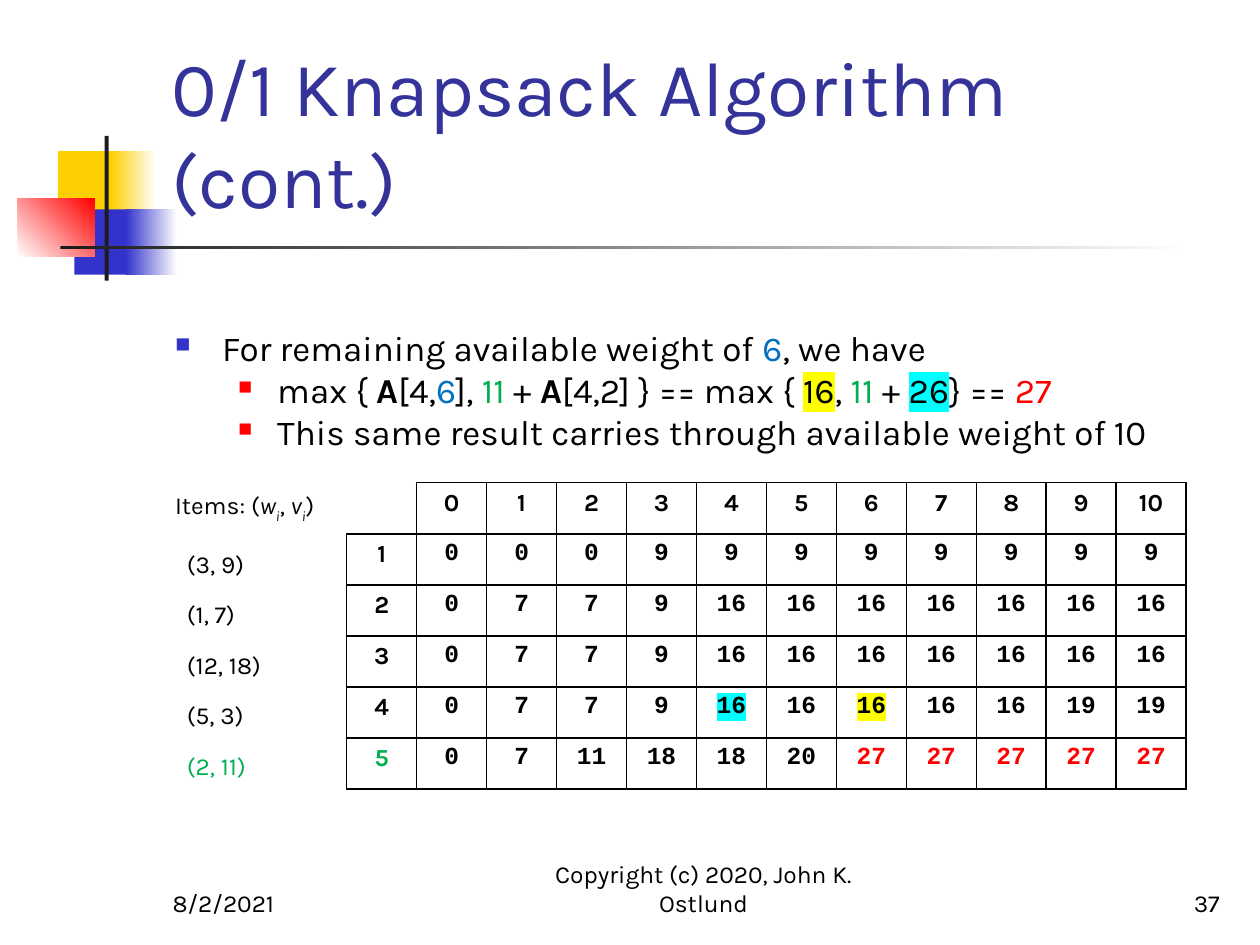
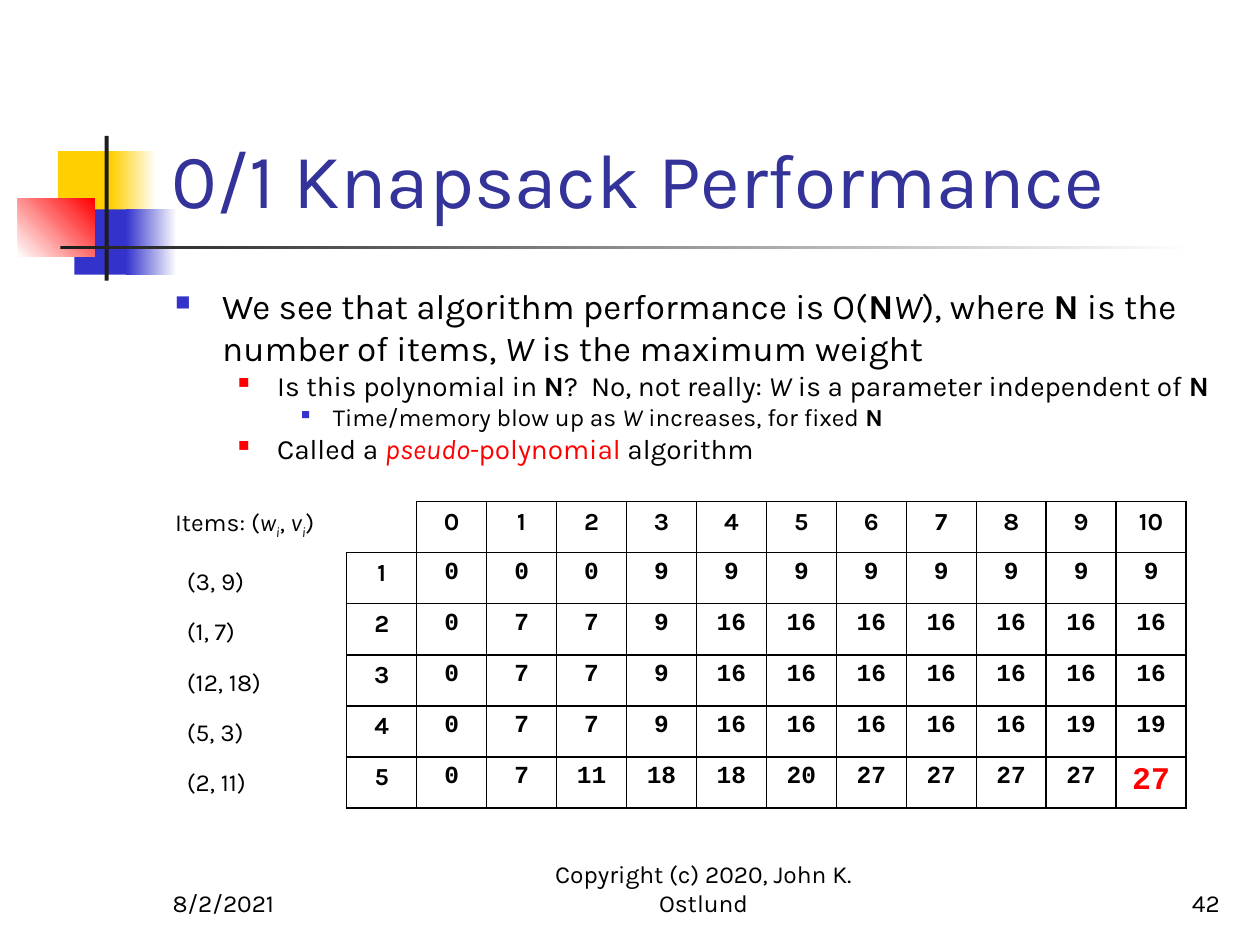
from lxml import etree
from pptx import Presentation
from pptx.dml.color import RGBColor
from pptx.enum.shapes import MSO_SHAPE
from pptx.enum.text import MSO_ANCHOR, PP_ALIGN
from pptx.oxml.ns import qn
from pptx.util import Cm, Pt

RECT = MSO_SHAPE.RECTANGLE
TOP, BOTTOM = MSO_ANCHOR.TOP, MSO_ANCHOR.BOTTOM
LEFT, CENTER, RIGHT = PP_ALIGN.LEFT, PP_ALIGN.CENTER, PP_ALIGN.RIGHT

COLORS = {
    "black": "000000", "white": "FFFFFF", "title": "333399",
    "gold": "FFCF01", "navy": "3333CC", "red": "FF0000", "bar": "1C1C1C",
    "blue": "0070C0", "green": "00B050", "yellow": "FFFF00", "cyan": "00FFFF",
}
SANS, MONO = "Karla", "Courier New"

# Boxes in cm: left, top, width, height
TITLE_BOX = (3.2, 0.58, 21.64, 4.06)
FOOTER_BOX = (3.23, 17.35, 21.61, 1.27)
BODY_LEFT, BODY_WIDTH, BODY_BOTTOM = 3.28, 21.59, 17.04
TABLE_LEFT, COL_WIDTH, ROW_HEIGHT = 6.99, 1.41, 1.03

# Bullet levels: left margin and hanging indent in cm, colour, size in percent
LEVELS = [(0.95, 0.95, "navy", 60), (2.06, 0.79, "red", 55), (3.18, 0.64, "navy", 50)]

ITEMS = ["(3, 9)", "(1, 7)", "(12, 18)", "(5, 3)", "(2, 11)"]
BEST_VALUES = [
    [0, 0, 0, 9, 9, 9, 9, 9, 9, 9, 9],
    [0, 7, 7, 9, 16, 16, 16, 16, 16, 16, 16],
    [0, 7, 7, 9, 16, 16, 16, 16, 16, 16, 16],
    [0, 7, 7, 9, 16, 16, 16, 16, 16, 19, 19],
    [0, 7, 11, 18, 18, 20, 27, 27, 27, 27, 27],
]


def rgb(name):
    return RGBColor.from_string(COLORS[name])


def add_run(p, text, size, color="black", font=SANS, bold=False, italic=False,
            highlight=None, subscript=False):
    r = p.add_run()
    r.text = text
    f = r.font
    f.size, f.name, f.bold, f.italic = Pt(size), font, bold, italic
    f.color.rgb = rgb(color)
    rPr = f._element
    if subscript:
        rPr.set("baseline", "-25000")
    if highlight:
        mark = etree.Element(qn("a:highlight"))
        etree.SubElement(mark, qn("a:srgbClr"), val=COLORS[highlight])
        rPr.find(qn("a:solidFill")).addnext(mark)


def add_runs(p, parts, size):
    """Each part is plain text or a (text, format) pair."""
    for part in parts:
        text, fmt = (part, {}) if isinstance(part, str) else part
        add_run(p, text, size, **fmt)


def add_text_box(s, box, anchor=TOP):
    tf = s.shapes.add_textbox(*map(Cm, box)).text_frame
    tf.word_wrap = True
    tf.vertical_anchor = anchor
    return tf


def add_line(s, box, text, size, color="black", align=LEFT):
    p = add_text_box(s, box, BOTTOM).paragraphs[0]
    p.alignment = align
    add_run(p, text, size, color)


def set_bullet(p, level):
    margin, hanging, color, percent = LEVELS[level]
    pPr = p._p.get_or_add_pPr()
    pPr.set("marL", str(Cm(margin)))
    pPr.set("indent", str(-Cm(hanging)))
    clr = etree.SubElement(pPr, qn("a:buClr"))
    etree.SubElement(clr, qn("a:srgbClr"), val=COLORS[color])
    etree.SubElement(pPr, qn("a:buSzPct"), val=str(percent * 1000))
    etree.SubElement(pPr, qn("a:buChar"), char="■")


# Corner blocks and title rule
def add_block(s, box, start, end=None, angle=0):
    sp = s.shapes.add_shape(RECT, *map(Cm, box))
    sp.shadow.inherit = False
    sp.line.fill.background()
    if end is None:
        sp.fill.solid()
        sp.fill.fore_color.rgb = rgb(start)
        return
    sp.fill.gradient()
    sp.fill.gradient_angle = angle
    for stop, color in zip(sp.fill.gradient_stops, (start, end)):
        stop.color.rgb = rgb(color)


def add_decoration(s):
    add_block(s, (1.17, 3.05, 1.22, 1.32), "gold")
    add_block(s, (2.24, 3.05, 0.91, 1.32), "gold", "white")
    add_block(s, (1.5, 4.22, 1.17, 1.32), "navy")
    add_block(s, (2.54, 4.22, 1.02, 1.32), "navy", "white")
    add_block(s, (0.36, 4.01, 1.55, 1.17), "white", "red", 45)
    add_block(s, (2.11, 2.74, 0.08, 2.92), "bar")
    add_block(s, (1.22, 4.95, 22.86, 0.08), "bar", "white")


def add_footer(s, box, number):
    left, top, width, height = box
    side = 5.28
    add_line(s, (left, top, side, height), "8/2/2021", 14)
    add_line(s, (left + 6.93, top, 8.05, height),
             "Copyright (c) 2020, John K. Ostlund", 14, align=CENTER)
    add_line(s, (left + width - side, top, side, height), str(number), 14, align=RIGHT)


# Bullets followed by the list of items
def add_body(s, box, bullets, items_gap, item_colors):
    tf = add_text_box(s, box)
    p = tf.paragraphs[0]
    for level, size, parts in bullets:
        if p is None:
            p = tf.add_paragraph()
        set_bullet(p, level)
        add_runs(p, parts, size)
        p = None

    p = tf.add_paragraph()
    p.space_before = Pt(items_gap)
    italic, sub = {"italic": True}, {"italic": True, "subscript": True}
    add_runs(p, ["Items: (", ("w", italic), ("i", sub), ", ",
                 ("v", italic), ("i", sub), ")"], 14)
    for i, item in enumerate(ITEMS):
        p = tf.add_paragraph()
        p.space_before = Pt(12 if i else 14.4)
        p._p.get_or_add_pPr().set("marL", str(Cm(0.24)))
        add_run(p, item, 14, item_colors.get(i, "black"))


# Table of best values, items down and weights across
def set_borders(cell, sides):
    tcPr = cell._tc.get_or_add_tcPr()
    for i, side in enumerate("LRTB"):
        ln = etree.Element(qn("a:ln" + side), w=str(Pt(1)))
        if side in sides:
            fill = etree.SubElement(ln, qn("a:solidFill"))
            etree.SubElement(fill, qn("a:srgbClr"), val=COLORS["black"])
        else:
            etree.SubElement(ln, qn("a:noFill"))
        tcPr.insert(i, ln)


def add_value_table(s, left, top, marks):
    rows = [["", *range(11)]]
    rows += [[i, *values] for i, values in enumerate(BEST_VALUES, 1)]
    n_rows, n_cols = len(rows), len(rows[0])
    table = s.shapes.add_table(n_rows, n_cols, Cm(left), Cm(top),
                               Cm(n_cols * COL_WIDTH), Cm(n_rows * ROW_HEIGHT)).table
    table.first_row = table.horz_banding = False
    for col in table.columns:
        col.width = Cm(COL_WIDTH)
    for i, row in enumerate(rows):
        table.rows[i].height = Cm(ROW_HEIGHT)
        for j, value in enumerate(row):
            cell = table.cell(i, j)
            cell.fill.background()
            set_borders(cell, "LRTB" if i or j else "RB")
            if value == "":
                continue
            p = cell.text_frame.paragraphs[0]
            p.alignment = CENTER
            fmt = {"size": 14, "bold": True, "font": MONO if i and j else SANS}
            add_run(p, str(value), **{**fmt, **marks.get((i, j), {})})


def add_knapsack_slide(prs, number, title, bullets, body_top, items_gap,
                       table_top, marks, item_colors):
    s = prs.slides.add_slide(prs.slide_layouts[6])
    add_decoration(s)
    add_line(s, TITLE_BOX, title, 44, "title")
    add_body(s, (BODY_LEFT, body_top, BODY_WIDTH, BODY_BOTTOM - body_top),
             bullets, items_gap, item_colors)
    add_value_table(s, TABLE_LEFT, table_top, marks)
    add_footer(s, FOOTER_BOX, number)


def main():
    prs = Presentation()
    prs.slide_width, prs.slide_height = Cm(25.4), Cm(19.05)

    red, green, blue = ({"color": c} for c in ("red", "green", "blue"))
    yellow, cyan = {"highlight": "yellow"}, {"highlight": "cyan"}
    A, N = (("A", {"bold": True}), ("N", {"bold": True}))
    W = ("W", {"italic": True})

    add_knapsack_slide(
        prs, 37, "0/1 Knapsack Algorithm (cont.)",
        [(0, 20, ["For remaining available weight of ", ("6", blue), ", we have"]),
         (1, 20, ["max { ", A, "[4,", ("6", blue), "], ", ("11", green), " + ", A,
                  "[4,2] } == max { ", ("16", yellow), ", ", ("11", green), " + ",
                  ("26", cyan), "} == ", ("27", red)]),
         (1, 20, ["This same result carries through available weight of 10"])],
        body_top=6.46, items_gap=21.6, table_top=9.73,
        marks={(4, 5): cyan, (4, 7): yellow, (5, 0): green,
               **{(5, j): red for j in range(7, 12)}},
        item_colors={4: "green"})

    add_knapsack_slide(
        prs, 42, "0/1 Knapsack Performance",
        [(0, 20, ["We see that algorithm performance is O(", N, W, "), where ", N,
                  " is the number of items, ", W, " is the maximum weight"]),
         (1, 16, ["Is this polynomial in ", N, "?  No, not really: ", W,
                  " is a parameter independent of ", N]),
         (2, 14, ["Time/memory blow up as ", W, " increases, for fixed ", N]),
         (1, 16, ["Called a ", ("pseudo-", {**red, "italic": True}),
                  ("polynomial ", red), "algorithm"])],
        body_top=5.61, items_gap=24, table_top=10.11,
        marks={(5, 11): {"size": 18, **red}}, item_colors={})

    prs.save("out.pptx")


if __name__ == "__main__":
    main()
